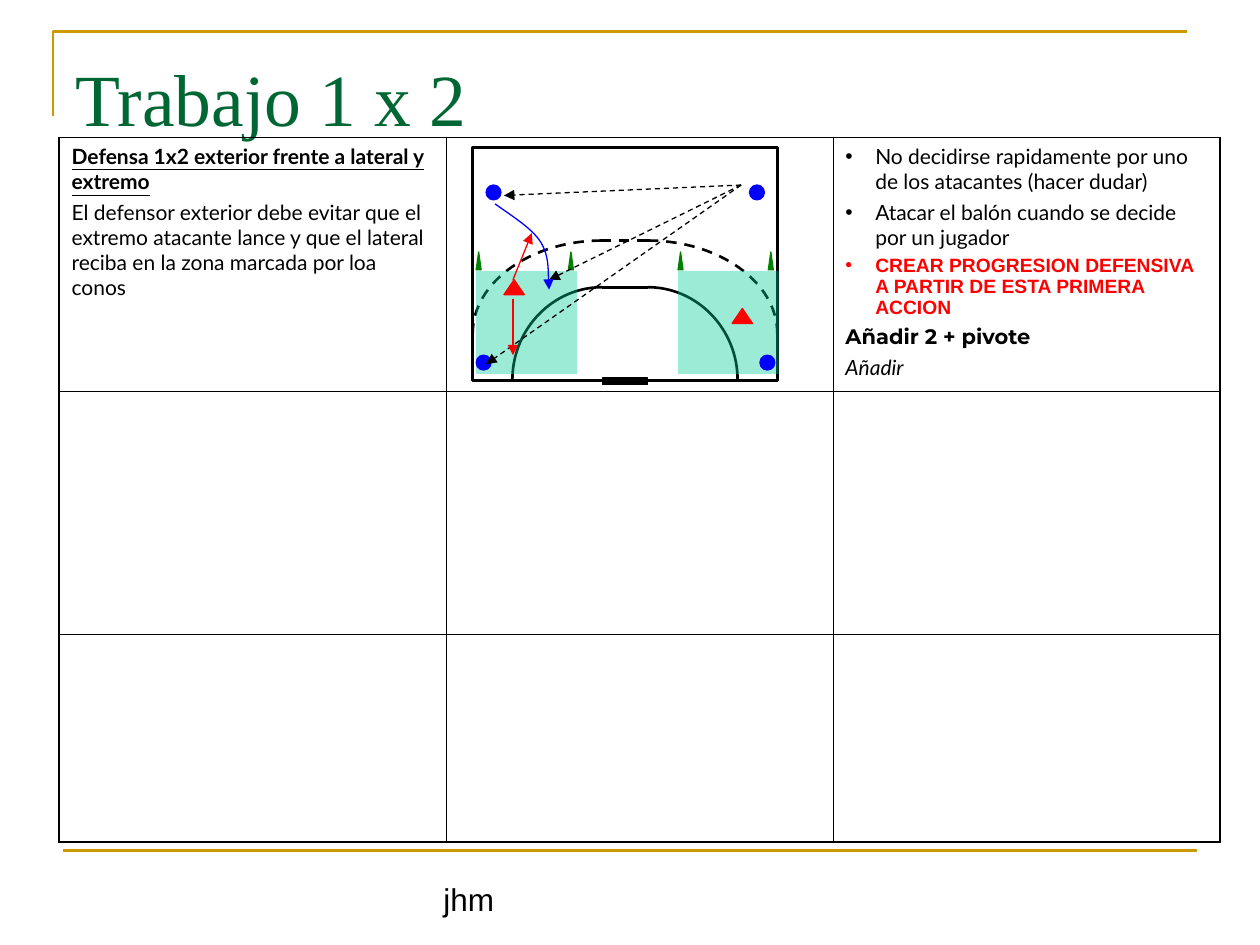
from typing import NamedTuple

from lxml.etree import SubElement
from pptx import Presentation
from pptx.dml.color import RGBColor
from pptx.enum.dml import MSO_LINE
from pptx.enum.shapes import MSO_CONNECTOR, MSO_SHAPE
from pptx.enum.text import MSO_ANCHOR, MSO_AUTO_SIZE, PP_ALIGN
from pptx.oxml.ns import qn
from pptx.util import Cm, Pt

BLACK, WHITE, GOLD, GREEN = "000000", "FFFFFF", "CC9900", "006633"
BLUE, RED, CONE_GREEN, TEAL = "0000FF", "FF0000", "008000", "00CC99"

Point = tuple[float, float]


class Para(NamedTuple):
    text: str
    font: str = "Lato"
    size: float = 12
    color: str = BLACK
    bold: bool = False
    italic: bool = False
    underline: bool = False
    bullet: bool = False
    before: float = 3


class Marker(NamedTuple):
    kind: MSO_SHAPE
    width: float
    height: float
    color: str
    places: list[Point]


class Arrow(NamedTuple):
    start: Point
    end: Point
    color: str = BLACK
    dashed: bool = True


def rgb(value: str) -> RGBColor:
    return RGBColor.from_string(value)


def style_line(line, color: str, width: float, dashed: bool = False, arrow: bool = False) -> None:
    line.color.rgb = rgb(color)
    line.width = Pt(width)
    if dashed:
        line.dash_style = MSO_LINE.DASH
    if arrow:
        SubElement(line._get_or_add_ln(), qn("a:tailEnd"), type="triangle")


def add_line(start: Point, end: Point, color: str, width: float, **options: bool) -> None:
    line = shapes.add_connector(MSO_CONNECTOR.STRAIGHT, *map(Cm, start + end))
    style_line(line.line, color, width, **options)
    SubElement(line._element.spPr, qn("a:effectLst"))


def add_outline(points: list[Point], color: str, width: float, curved: bool = False, **options: bool) -> None:
    """Draw an open outline; a curved one takes three points per Bézier segment."""
    builder = shapes.build_freeform(Cm(points[0][0]), Cm(points[0][1]))
    builder.add_line_segments([(Cm(x), Cm(y)) for x, y in points[1:]], close=False)
    outline = builder.convert_to_shape()
    outline.shadow.inherit = False
    outline.fill.background()
    style_line(outline.line, color, width, **options)
    if curved:
        segments = list(outline._element.iter(qn("a:lnTo")))
        for first in range(0, len(segments), 3):
            bezier = SubElement(segments[first].getparent(), qn("a:cubicBezTo"))
            for segment in segments[first:first + 3]:
                bezier.append(segment[0])
                segment.getparent().remove(segment)


def add_block(kind: MSO_SHAPE, left: float, top: float, width: float, height: float,
              fill: str, line: str | None = None, line_width: float = 0.75):
    block = shapes.add_shape(kind, Cm(left), Cm(top), Cm(width), Cm(height))
    block.shadow.inherit = False
    block.fill.solid()
    block.fill.fore_color.rgb = rgb(fill)
    if line:
        style_line(block.line, line, line_width)
    else:
        block.line.fill.background()
    return block


def write(frame, paras: list[Para]) -> None:
    frame.word_wrap = True
    frame.text = "\n".join(para.text for para in paras)
    for paragraph, para in zip(frame.paragraphs, paras):
        paragraph.alignment = PP_ALIGN.LEFT
        paragraph.space_before = Pt(para.before)
        font = paragraph.runs[0].font
        font.name, font.size, font.color.rgb = para.font, Pt(para.size), rgb(para.color)
        font.bold, font.italic, font.underline = para.bold, para.italic, para.underline
        if para.bullet:
            props = paragraph._p.get_or_add_pPr()
            props.set("marL", str(Cm(0.6)))
            props.set("indent", str(-Cm(0.6)))
            SubElement(SubElement(props, qn("a:buClr")), qn("a:srgbClr"), val=para.color)
            SubElement(props, qn("a:buFont"), typeface="Arial")
            SubElement(props, qn("a:buChar"), char="•")


def border_cell(cell, widths: dict[str, float]) -> None:
    cell.fill.background()
    props = cell._tc.get_or_add_tcPr()
    for place, (side, width) in enumerate(widths.items()):
        border = SubElement(props, qn(f"a:ln{side}"), w=str(Pt(width)))
        SubElement(SubElement(border, qn("a:solidFill")), qn("a:srgbClr"), val=BLACK)
        props.insert(place, border)


prs = Presentation()
prs.slide_width, prs.slide_height = Cm(25.4), Cm(19.05)
slide = prs.slides.add_slide(prs.slide_layouts[5])
shapes = slide.shapes

# Gold frame lines and footer
add_outline([(1.07, 2.34), (1.07, 0.64), (23.93, 0.64)], GOLD, 1.5)
add_line((1.27, 17.15), (24.13, 17.15), GOLD, 1.5)
footer = shapes.add_textbox(Cm(8.69), Cm(17.35), Cm(8.03), Cm(1.27)).text_frame
footer.vertical_anchor = MSO_ANCHOR.BOTTOM
write(footer, [Para("jhm", "Arial", 18, before=0)])

# Title
title = shapes.title
title.left, title.top, title.width, title.height = Cm(1.27), Cm(0.76), Cm(22.86), Cm(1.8)
write(title.text_frame, [Para("Trabajo 1 x 2", "Times New Roman", 42, GREEN, before=0)])
title.text_frame.auto_size = MSO_AUTO_SIZE.NONE
title.text_frame.vertical_anchor = MSO_ANCHOR.TOP
title.text_frame.margin_top = Cm(0.31)

# Exercise table
ROW_HEIGHTS = [4.9, 4.9, 4.19]
EXERCISE = [
    Para("Defensa 1x2 exterior frente a lateral y extremo", bold=True, underline=True),
    Para("El defensor exterior debe evitar que el extremo atacante lance y que el lateral "
         "reciba en la zona marcada por loa conos"),
]
GUIDELINES = [
    Para("No decidirse rapidamente por uno de los atacantes (hacer dudar)", bullet=True),
    Para("Atacar el balón cuando se decide por un jugador", bullet=True),
    Para("CREAR PROGRESION DEFENSIVA A PARTIR DE ESTA PRIMERA ACCION",
         "Arial", 11, RED, bold=True, bullet=True, before=2.8),
    Para("Añadir 2 + pivote", "Montserrat", bold=True),
    Para("Añadir", italic=True),
]
THIN, THICK = 0.45, 1.08
table = shapes.add_table(3, 3, Cm(1.19), Cm(2.77), Cm(23.4), Cm(sum(ROW_HEIGHTS))).table
table.first_row = table.horz_banding = False
for r, height in enumerate(ROW_HEIGHTS):
    table.rows[r].height = Cm(height)
    for c in range(3):
        border_cell(table.cell(r, c), {
            "L": THICK if c == 0 else THIN, "R": THICK if c == 2 else THIN,
            "T": THIN, "B": THICK if r == 2 else THIN})
write(table.cell(0, 0).text_frame, EXERCISE)
write(table.cell(0, 2).text_frame, GUIDELINES)

# Court with its goal, goal area and dashed free-throw line
POST_LEFT, POST_RIGHT, ARC_HEIGHT, KAPPA = 12.14, 13.06, 1.87, 0.55
add_block(MSO_SHAPE.RECTANGLE, 9.53, 2.97, 6.15, 4.7, WHITE, BLACK, 2)
add_block(MSO_SHAPE.RECTANGLE, POST_LEFT, 7.62, POST_RIGHT - POST_LEFT, 0.13, BLACK, BLACK)
for top, radius, dashed in [(5.79, 1.81, False), (4.85, 2.61, True)]:
    for post, reach in [(POST_LEFT, -radius), (POST_RIGHT, radius)]:
        quarter = [(post, top), (post + KAPPA * reach, top),
                   (post + reach, top + (1 - KAPPA) * ARC_HEIGHT), (post + reach, top + ARC_HEIGHT)]
        add_outline(quarter, BLACK, 1.5, curved=True, dashed=dashed)
    add_line((POST_RIGHT, top), (POST_LEFT, top), BLACK, 1.5, dashed=dashed)

# Marked zones
for zone_left in (9.6, 13.67):
    zone = add_block(MSO_SHAPE.RECTANGLE, zone_left, 5.46, 2.03, 2.08, TEAL)
    zone_color = zone._element.spPr.find(qn("a:solidFill"))[0]
    SubElement(zone_color, qn("a:alpha"), val="39000")

# Cones, defenders and attackers
MARKERS = [
    Marker(MSO_SHAPE.ISOSCELES_TRIANGLE, 0.1, 0.36, CONE_GREEN,
           [(x, 5.08) for x in (9.6, 11.46, 13.67, 15.49)]),
    Marker(MSO_SHAPE.ISOSCELES_TRIANGLE, 0.41, 0.3, RED, [(10.16, 5.64), (14.76, 6.22)]),
    Marker(MSO_SHAPE.OVAL, 0.3, 0.3, BLUE,
           [(9.8, 3.73), (15.11, 3.73), (9.6, 7.16), (15.32, 7.16)]),
]
for marker in MARKERS:
    for x, y in marker.places:
        add_block(marker.kind, x, y, marker.width, marker.height, marker.color, marker.color)

# Passes, defender moves and the attacker's run
PASSER = (14.94, 3.73)
ARROWS = [
    Arrow(PASSER, (10.16, 3.94)),
    Arrow(PASSER, (9.8, 7.34)),
    Arrow(PASSER, (11.07, 5.64)),
    Arrow((10.34, 5.64), (10.72, 4.7), RED, dashed=False),
    Arrow((10.34, 6.02), (10.34, 7.16), RED, dashed=False),
]
for move in ARROWS:
    add_line(move.start, move.end, move.color, 0.75, dashed=move.dashed, arrow=True)
RUN = [(9.98, 4.11), (10.34, 4.37), (10.72, 4.6), (10.9, 4.88),
       (11.07, 5.16), (11.05, 5.66), (11.07, 5.84)]
add_outline(RUN, BLUE, 0.75, curved=True, arrow=True)

prs.save("out.pptx")
